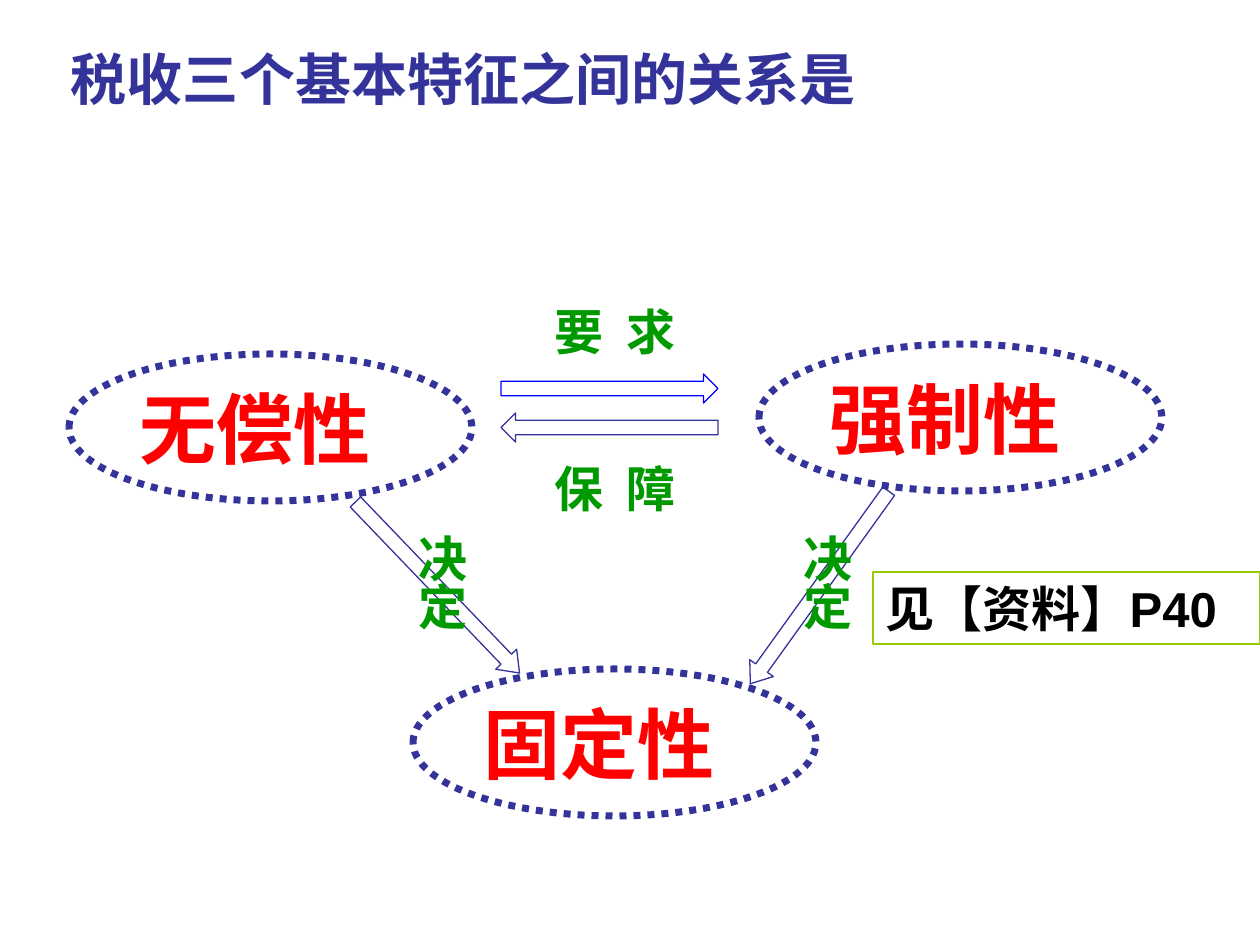
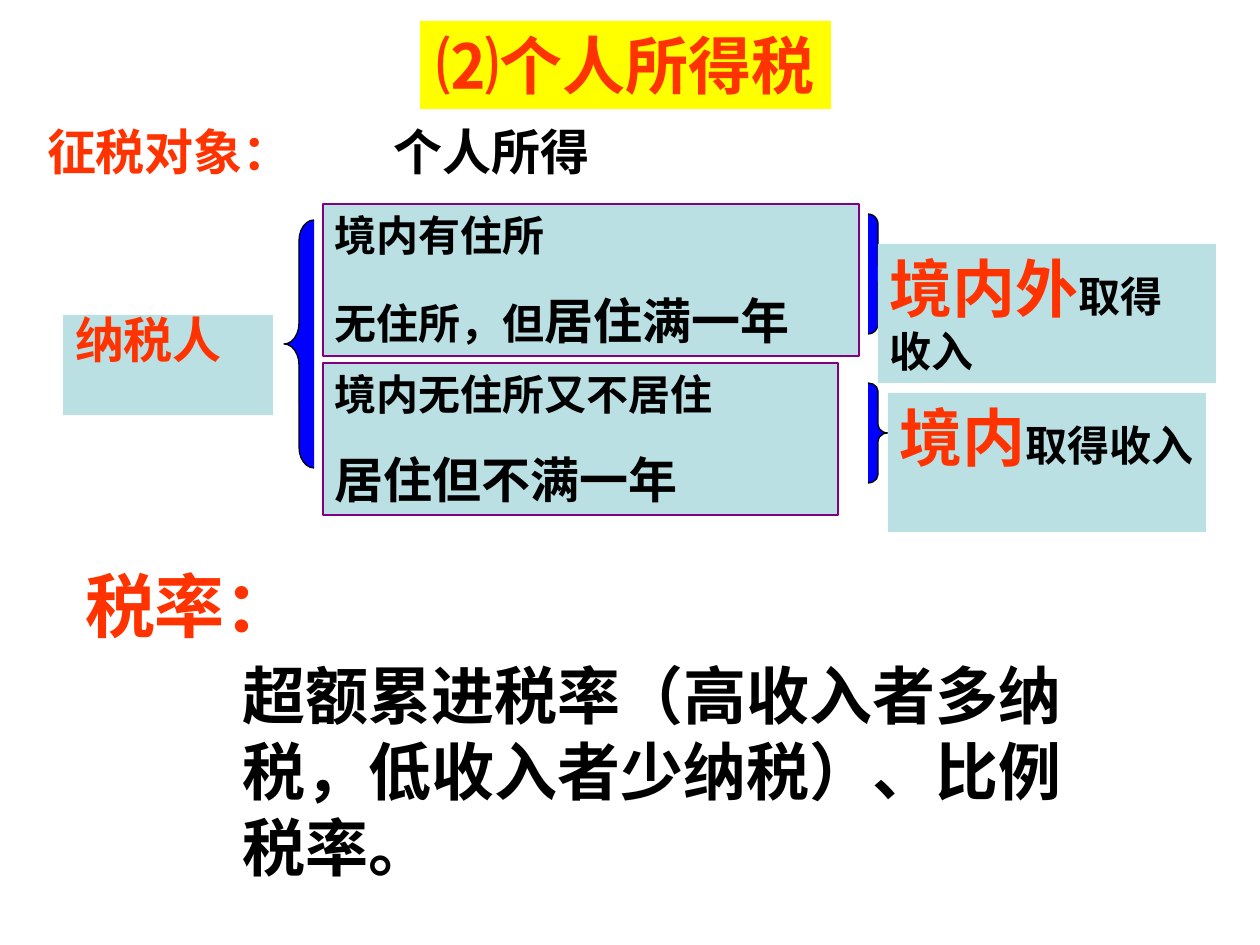
from dataclasses import dataclass, field
from typing import Any

from lxml.etree import SubElement
from pptx import Presentation
from pptx.dml.color import RGBColor
from pptx.enum.dml import MSO_LINE
from pptx.enum.shapes import MSO_SHAPE
from pptx.enum.text import MSO_ANCHOR, PP_ALIGN
from pptx.oxml.ns import qn
from pptx.util import Emu, Pt

PX = 914400 / 126
SERIF, SANS, CJK = "Times New Roman", "Arial", "Noto Sans CJK SC"
COLORS = {
    "navy": "333399", "green": "009900", "red": "FF0000", "blue": "0000FF",
    "lime": "99CC00", "black": "000000", "orange": "FF3300",
    "yellow": "FFFF00", "pale": "BBE0E3", "purple": "800080",
}


def px(*lengths):
    return [Emu(round(length * PX)) for length in lengths]


def rgb(name):
    return RGBColor.from_string(COLORS[name])


@dataclass
class Deck:
    """Holds the presentation, the default text style and the current slide."""
    prs: Any = field(default_factory=Presentation)
    slide: Any = None
    font: str = SANS
    color: str = "black"

    def set_size(self, width, height):
        self.prs.slide_width, self.prs.slide_height = px(width, height)

    def new_slide(self, font, color):
        self.slide = self.prs.slides.add_slide(self.prs.slide_layouts[6])
        self.font, self.color = font, color

    def add_words(self, paragraph, text, size, color=None, font=None, spacing=0):
        run = paragraph.add_run()
        run.text = text
        run.font.size, run.font.bold = Pt(size), True
        run.font.name = font or self.font
        run.font.color.rgb = rgb(color or self.color)
        properties = run.font._element
        SubElement(properties, qn("a:ea")).set("typeface", CJK)
        if spacing:
            properties.set("spc", str(round(spacing * 100)))

    def set_text(self, shape, paragraphs, align=PP_ALIGN.LEFT, gap=17.5,
                 line_spacing=None, wrap=True, vertical=False):
        """Each paragraph is a list of runs: (text, size, color, font, spacing)."""
        frame = shape.text_frame
        frame.word_wrap = wrap
        frame.vertical_anchor = MSO_ANCHOR.TOP
        across, along = px(12, 6)
        if vertical:
            across, along = along, across
            frame._txBody.bodyPr.set("vert", "eaVert")
        frame.margin_left = frame.margin_right = across
        frame.margin_top = frame.margin_bottom = along
        for index, runs in enumerate(paragraphs):
            paragraph = frame.add_paragraph() if index else frame.paragraphs[0]
            paragraph.alignment = align
            if index:
                paragraph.space_before = Pt(gap)
            if line_spacing:
                paragraph.line_spacing = line_spacing
            for words in runs:
                self.add_words(paragraph, *words)

    def text(self, box, *paragraphs, **layout):
        self.set_text(self.slide.shapes.add_textbox(*px(*box)), paragraphs, **layout)

    def shape(self, kind, box, *paragraphs, fill=None, line=None, width=0.75,
              dash=None, rotation=0, adjustments=(), **layout):
        shape = self.slide.shapes.add_shape(kind, *px(*box))
        shape.shadow.inherit = False
        shape.rotation = rotation
        for index, value in enumerate(adjustments):
            shape.adjustments[index] = value
        if fill:
            shape.fill.solid()
            shape.fill.fore_color.rgb = rgb(fill)
        else:
            shape.fill.background()
        if line:
            shape.line.color.rgb = rgb(line)
            shape.line.width = Pt(width)
            if dash:
                shape.line.dash_style = dash
        else:
            shape.line.fill.background()
        if paragraphs:
            self.set_text(shape, paragraphs, **layout)

    def panel(self, box, *paragraphs, fill="pale", **style):
        self.shape(MSO_SHAPE.RECTANGLE, box, *paragraphs, fill=fill, **style)

    def feature(self, left, top, name):
        self.shape(MSO_SHAPE.OVAL, (left, top, 403, 147), [(name, 44, "red")],
                   line="navy", width=4, dash=MSO_LINE.ROUND_DOT)

    def arrow(self, kind, box, line="navy", head=0.5, rotation=0):
        self.shape(kind, box, line=line, rotation=rotation, adjustments=(0.5, head))

    def brace(self, kind, box):
        curve = box[3] / 12 / box[2]
        self.shape(kind, box, fill="blue", line="black", adjustments=(curve, 0.5))


def feature_slide(deck):
    deck.new_slide(SERIF, "green")
    deck.text((59, 39, 1181, 81), [("税收三个基本特征之间的关系是", 32, "navy")])

    # Three features of taxation
    for left, top, name in ((69, 354, "无偿性"), (759, 344, "强制性"),
                            (413, 669, "固定性")):
        deck.feature(left, top, name)

    # Demand and guarantee between the upper two
    deck.arrow(MSO_SHAPE.RIGHT_ARROW, (501, 374, 217, 29), line="blue")
    deck.arrow(MSO_SHAPE.LEFT_ARROW, (501, 413, 217, 29))
    for top, relation in ((295, "要 求"), (452, "保 障")):
        deck.text((542, top, 168, 72), [(relation, 28, None, None, 3.5)])

    # Both determine the lower one
    for left, angle in ((319, 46.2), (701, 125.7)):
        deck.arrow(MSO_SHAPE.RIGHT_ARROW, (left, 573, 237, 29), head=0.66,
                   rotation=angle)
    for left, height in ((394, 178), (779, 129)):
        deck.text((left, 522, 83, height), [("决定", 28)], vertical=True)

    # Page reference
    deck.panel((873, 572, 387, 72), [("见【资料】P40", 28, "black", SANS)],
               fill=None, line="lime")


def income_tax_slide(deck):
    deck.new_slide(SANS, "black")
    deck.panel((420, 21, 411, 88), [("⑵个人所得税", 36, "orange")],
               fill="yellow", align=PP_ALIGN.CENTER)

    # Object of taxation
    deck.text((35, 115, 270, 72), [("征税对象：", 28, "orange")], wrap=False)
    deck.text((382, 115, 315, 72), [("个人所得", 28, None, CJK)])

    # Taxpayers
    deck.panel((63, 315, 210, 100), [("纳税人", 28, "orange")], line_spacing=0.8)
    deck.brace(MSO_SHAPE.LEFT_BRACE, (284, 220, 30, 248))
    deck.panel((323, 204, 536, 152), [("境内有住所", 24)],
               [("无住所，但", 24), ("居住满一年", 28)], line="purple")
    deck.panel((323, 363, 515, 152), [("境内无住所又不居住", 24)],
               [("居住但不满一年", 28)], line="purple")

    # Income that is taxed
    for brace_top, brace_height, box, scope in (
            (214, 120, (878, 244, 338, 139), "境内外"),
            (383, 100, (888, 393, 318, 139), "境内")):
        deck.brace(MSO_SHAPE.RIGHT_BRACE, (868, brace_top, 20, brace_height))
        deck.panel(box, [(scope, 36, "orange"), ("取得收入", 24)])

    # Tax rate
    deck.text((73, 557, 173, 97), [("税率：", 40, "orange")])
    deck.text((231, 651, 883, 239), [
        ("超额累进税率（", 36, None, CJK),
        ("高收入者多纳税，低收入者少纳税）", 36),
        ("、比例税率。", 36, None, CJK)])


def main():
    deck = Deck()
    deck.set_size(1260, 945)
    feature_slide(deck)
    income_tax_slide(deck)
    deck.prs.save("out.pptx")


if __name__ == "__main__":
    main()
